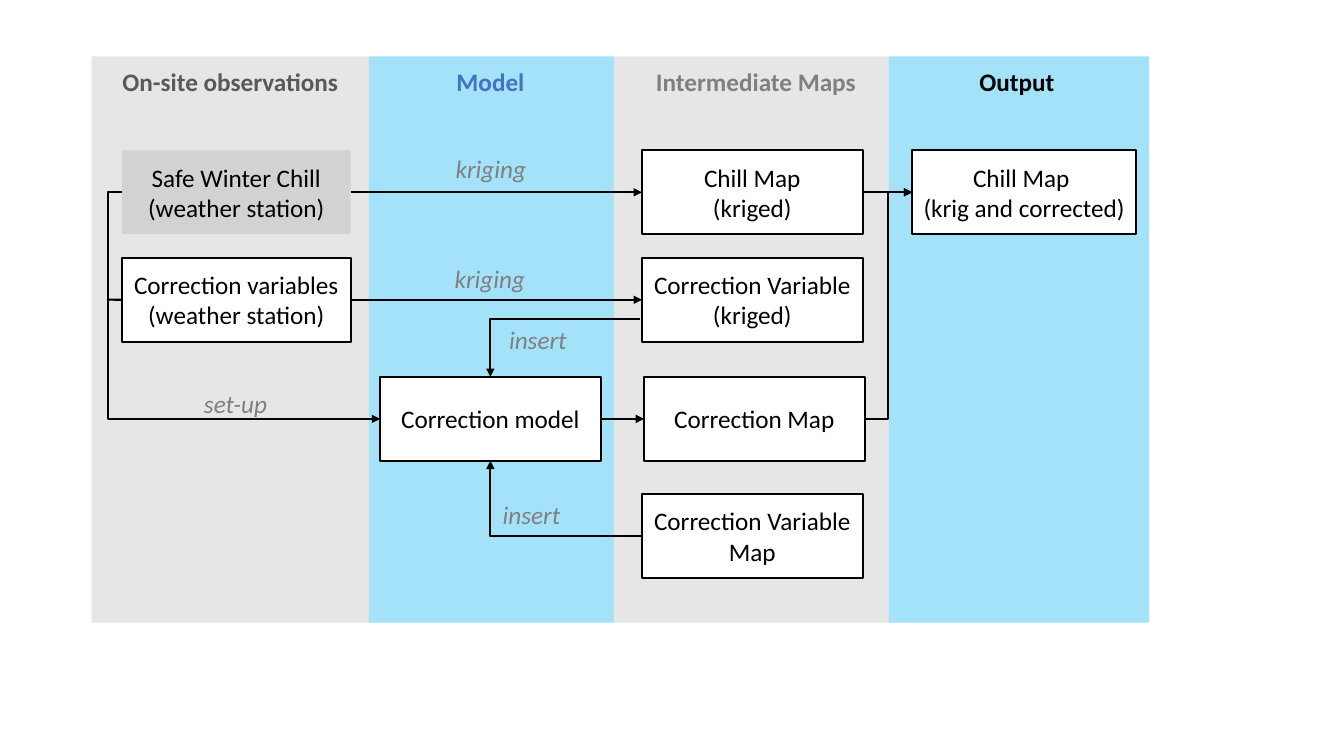
from dataclasses import dataclass
from lxml.etree import SubElement
from pptx import Presentation
from pptx.dml.color import RGBColor
from pptx.enum.shapes import MSO_CONNECTOR as Connector, MSO_SHAPE as Shape
from pptx.enum.text import MSO_ANCHOR as Anchor, PP_ALIGN as Align
from pptx.oxml.ns import qn
from pptx.util import Cm, Pt


@dataclass
class Theme:
    font: str = "Calibri"
    size: float = 18
    line: float = 1.5
    black: str = "000000"
    white: str = "FFFFFF"
    grey_band: str = "E7E6E6"
    blue_band: str = "00B0F0"
    grey_box: str = "BFBFBF"
    dark_grey: str = "595959"
    mid_grey: str = "808080"
    blue: str = "4472C4"


theme = Theme()
TOP, LEFT, BOTTOM, RIGHT = range(4)

presentation = Presentation()
presentation.slide_width, presentation.slide_height = Cm(33.87), Cm(19.05)
slide = presentation.slides.add_slide(presentation.slide_layouts[6])
shapes = slide.shapes


def add_text(text, left, top, width, height=1.02, color=theme.black, bold=False,
             italic=False, box=False, fill=None, alpha=100, outline=False):
    """Add centred text, either free or in a filled rectangle."""
    place = Cm(left), Cm(top), Cm(width), Cm(height)
    if box:
        shape = shapes.add_shape(Shape.RECTANGLE, *place)
        shape.shadow.inherit = False
        shape.fill.solid()
        shape.fill.fore_color.rgb = RGBColor.from_string(fill)
        if alpha < 100:
            fill_color = shape.fill._xPr.find(qn("a:solidFill"))[0]
            SubElement(fill_color, qn("a:alpha"), val=str(alpha * 1000))
        if outline:
            shape.line.color.rgb = RGBColor.from_string(theme.black)
            shape.line.width = Pt(theme.line)
        else:
            shape.line.fill.background()
    else:
        shape = shapes.add_textbox(*place)
    frame = shape.text_frame
    frame.word_wrap = True
    frame.vertical_anchor = Anchor.MIDDLE if box else Anchor.TOP
    frame.text = text
    for paragraph in frame.paragraphs:
        paragraph.alignment = Align.CENTER
        font = paragraph.font
        font.name, font.size = theme.font, Pt(theme.size)
        font.bold, font.italic = bold, italic
        font.color.rgb = RGBColor.from_string(color)
    return shape


def add_link(begin, end, kind=Connector.STRAIGHT, arrow=True, bend=None, corner=False):
    """Join two ends, each a (box, side) pair or an (x, y) point in cm."""
    connector = shapes.add_connector(kind, 0, 0, 0, 0)
    if isinstance(begin[0], float):
        connector.begin_x, connector.begin_y = Cm(begin[0]), Cm(begin[1])
    else:
        connector.begin_connect(*begin)
    if isinstance(end[0], float):
        connector.end_x, connector.end_y = Cm(end[0]), Cm(end[1])
    else:
        connector.end_connect(*end)
    connector.line.color.rgb = RGBColor.from_string(theme.black)
    connector.line.width = Pt(theme.line)
    properties = connector._element.spPr
    if arrow:
        SubElement(connector.line._get_or_add_ln(), qn("a:tailEnd"), type="triangle")
    SubElement(properties, qn("a:effectLst"))
    geometry = properties.find(qn("a:prstGeom"))
    if corner:
        geometry.set("prst", "bentConnector2")
    if bend is not None:
        guides = geometry.find(qn("a:avLst"))
        SubElement(guides, qn("a:gd"), name="adj1", fmla=f"val {round(bend * 100000)}")


# Column bands
edges = [2.31, 9.3, 15.47, 22.4, 28.96]
for column, (left, right) in enumerate(zip(edges, edges[1:])):
    is_blue = column % 2 == 1
    add_text("", left, 1.42, right - left, 14.27, box=True,
             fill=theme.blue_band if is_blue else theme.grey_band,
             alpha=36 if is_blue else 100)

# Column headings
for heading, left, width, color in [
    ("On-site observations", 2.31, 6.99, theme.dark_grey),
    ("Model", 9.3, 6.12, theme.blue),
    ("Intermediate Maps", 15.75, 6.6, theme.mid_grey),
    ("Output", 22.33, 6.6, theme.black),
]:
    add_text(heading, left, 1.55, width, color=color, bold=True)

# Boxes
chill_row, variable_row, model_row, map_row = 3.79, 6.5, 9.5, 12.45
boxes = {}
for name, text, left, top, width in [
    ("station chill", "Safe Winter Chill (weather station)", 3.07, chill_row, 5.77),
    ("station variables", "Correction variables (weather station)", 3.07, variable_row, 5.77),
    ("model", "Correction model", 9.58, model_row, 5.56),
    ("chill map", "Chill Map\n(kriged)", 16.18, chill_row, 5.56),
    ("kriged variable", "Correction Variable (kriged)", 16.18, variable_row, 5.56),
    ("correction map", "Correction Map", 16.23, model_row, 5.56),
    ("variable map", "Correction Variable Map", 16.18, map_row, 5.56),
    ("output", "Chill Map \n(krig and corrected)", 22.99, chill_row, 5.64),
]:
    is_source = name == "station chill"
    boxes[name] = add_text(text, left, top, width, 2.11, box=True,
                           fill=theme.grey_box if is_source else theme.white,
                           alpha=50 if is_source else 100, outline=not is_source)

# Straight arrows from box to box
for source, target in [
    ("station chill", "chill map"),
    ("station variables", "kriged variable"),
    ("model", "correction map"),
    ("chill map", "output"),
]:
    add_link((boxes[source], RIGHT), (boxes[target], LEFT))

# Bent arrows and the branch from the correction variables
model = boxes["model"]
add_link((boxes["station chill"], LEFT), (model, LEFT), Connector.ELBOW, bend=-0.054)
add_link((boxes["station variables"], LEFT), (2.72, 7.55), arrow=False)
add_link((16.13, 8.05), (model, TOP), Connector.ELBOW, corner=True)
add_link((boxes["variable map"], LEFT), (model, BOTTOM), Connector.ELBOW, corner=True)
add_link((boxes["correction map"], RIGHT), (boxes["output"], LEFT), Connector.ELBOW, bend=0.5)

# Arrow labels
for label, left, top, width in [
    ("kriging", 9.27, 3.73, 6.2),
    ("kriging", 9.27, 6.5, 6.15),
    ("set-up", 3.89, 9.65, 4.09),
    ("insert", 11.35, 12.47, 4.09),
    ("insert", 11.51, 8.05, 4.09),
]:
    add_text(label, left, top, width, color=theme.mid_grey, italic=True)

presentation.save("out.pptx")
